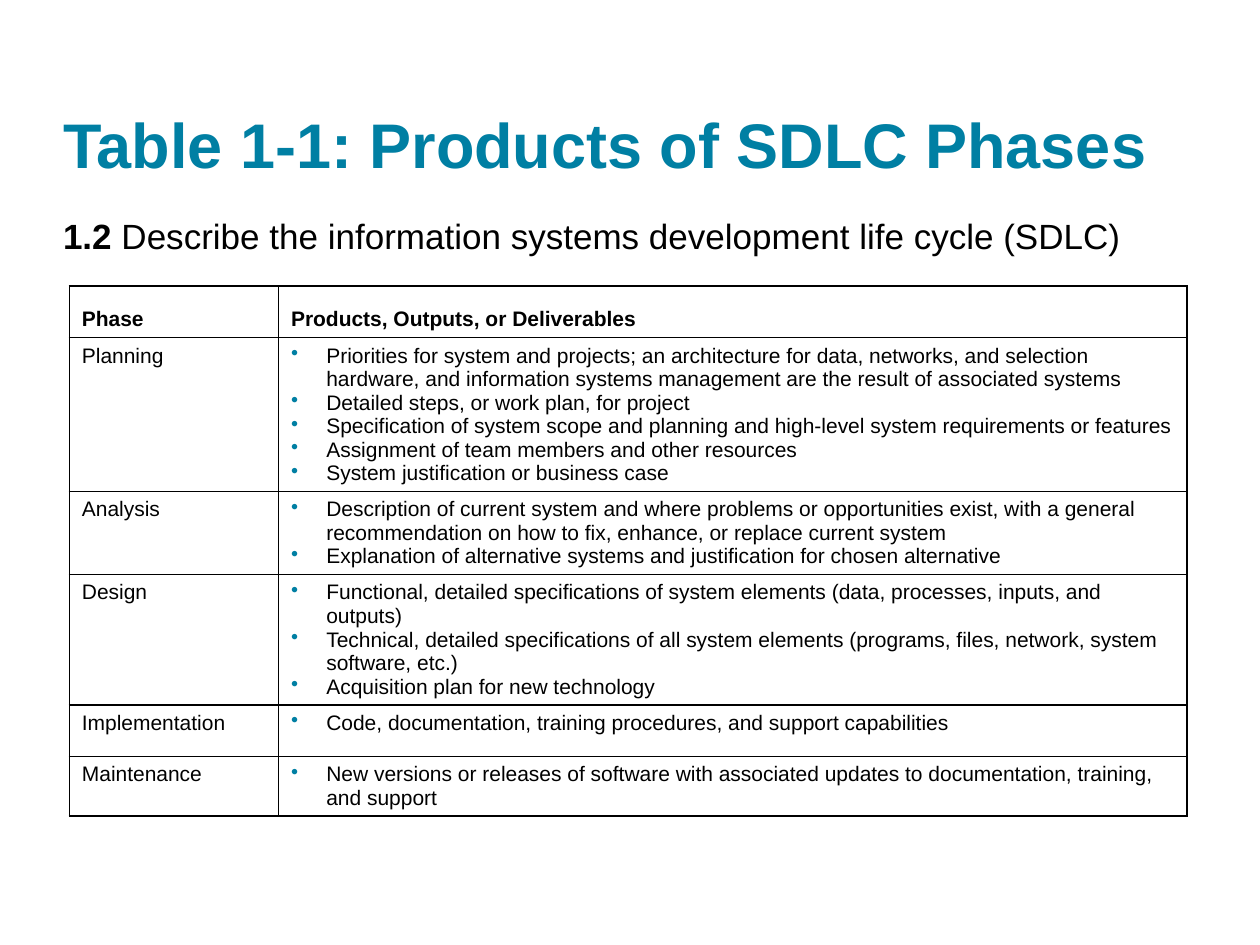
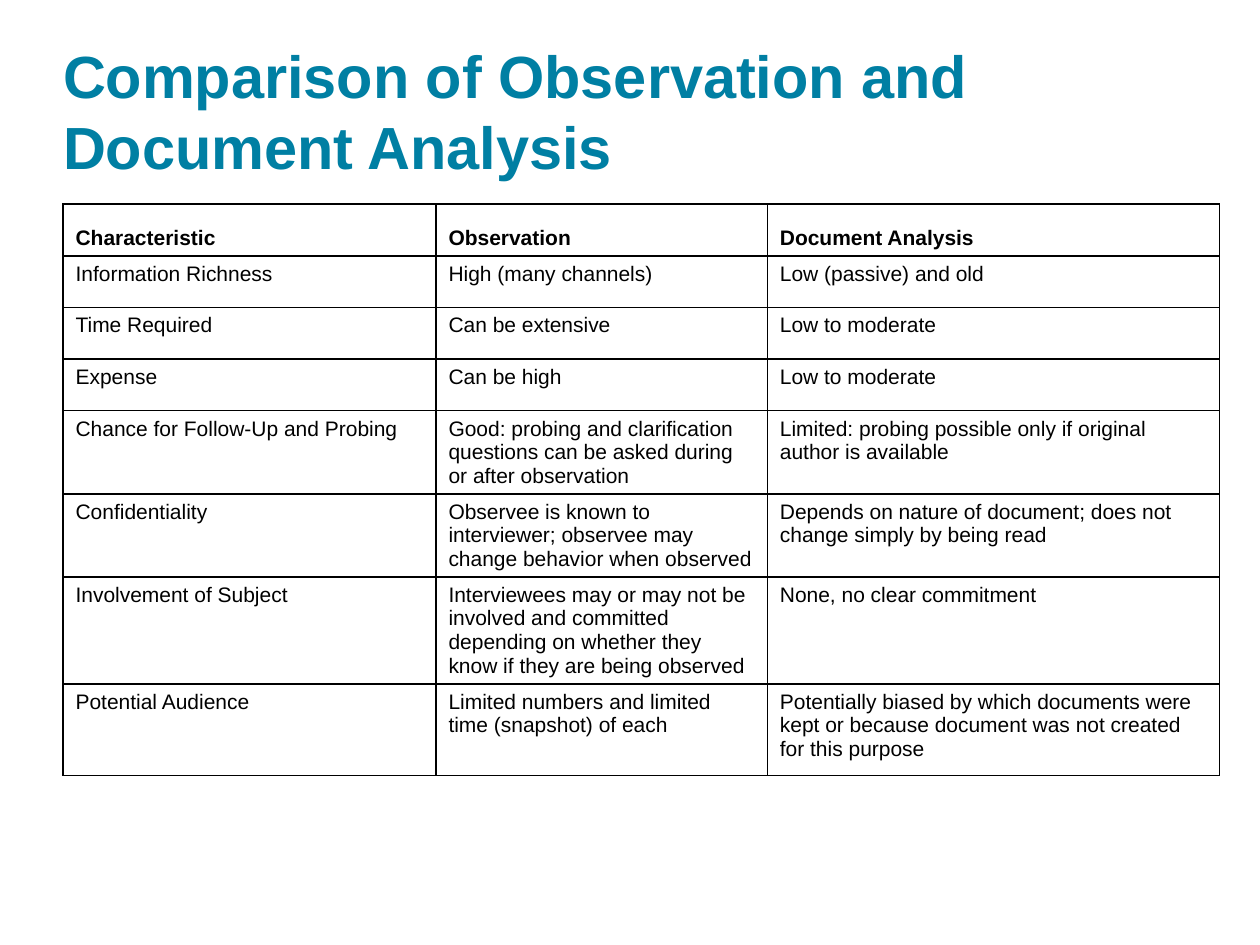
"""Build two slides that each show a ruled table under a teal title."""
from dataclasses import dataclass
from typing import Any, NamedTuple

from lxml import etree
from pptx import Presentation
from pptx import util as u
from pptx.dml.color import RGBColor
from pptx.enum import text
from pptx.oxml.ns import qn


@dataclass(frozen=True)
class Theme:
    """Colours, type sizes and measures used by every slide."""
    font: str = "Arial"
    accent: str = "007FA3"
    ink: str = "000000"
    objective_size: int = 20
    cell_size: int = 12
    rule_width: float = 1
    bullet_indent: float = 0.28


class Area(NamedTuple):
    """A region on the slide grid, in columns and rows."""
    left: float
    top: float
    width: float
    height: float


@dataclass(frozen=True)
class RuledTable:
    """A table's grid position, column widths, row heights and cell contents."""
    left: float
    top: float
    columns: tuple[float, ...]
    rows: tuple[float, ...]
    cells: list[tuple[str | list[str], ...]]


THEME = Theme()
SLIDE_WIDTH, SLIDE_HEIGHT = u.Inches(10), u.Inches(7.5)
GRID_COLUMNS, GRID_ROWS = 100, 75
TITLE_AREA = Area(5, 2.4, 90, 12)
OBJECTIVE_AREA = Area(5, 17, 90, 3.9)
ROW = 4.1

PHASE_PRODUCTS = RuledTable(5.5, 22.7, (16.6, 72.1), (ROW,) * 6, [
    ("Phase", "Products, Outputs, or Deliverables"),
    ("Planning", [
        "Priorities for system and projects; an architecture for data, networks, and selection "
        "hardware, and information systems management are the result of associated systems",
        "Detailed steps, or work plan, for project",
        "Specification of system scope and planning and high-level system requirements or features",
        "Assignment of team members and other resources",
        "System justification or business case"]),
    ("Analysis", [
        "Description of current system and where problems or opportunities exist, with a general "
        "recommendation on how to fix, enhance, or replace current system",
        "Explanation of alternative systems and justification for chosen alternative"]),
    ("Design", [
        "Functional, detailed specifications of system elements (data, processes, inputs, and outputs)",
        "Technical, detailed specifications of all system elements (programs, files, network, "
        "system software, etc.)",
        "Acquisition plan for new technology"]),
    ("Implementation", ["Code, documentation, training procedures, and support capabilities"]),
    ("Maintenance", [
        "New versions or releases of software with associated updates to documentation, "
        "training, and support"]),
])

METHOD_COMPARISON = RuledTable(5, 16.2, (29.6, 26.3, 35.9), (ROW,) * 7 + (7.3,), [
    ("Characteristic", "Observation", "Document Analysis"),
    ("Information Richness", "High (many channels)", "Low (passive) and old"),
    ("Time Required", "Can be extensive", "Low to moderate"),
    ("Expense", "Can be high", "Low to moderate"),
    ("Chance for Follow-Up and Probing",
     "Good: probing and clarification questions can be asked during or after observation",
     "Limited: probing possible only if original author is available"),
    ("Confidentiality",
     "Observee is known to interviewer; observee may change behavior when observed",
     "Depends on nature of document; does not change simply by being read"),
    ("Involvement of Subject",
     "Interviewees may or may not be involved and committed depending on whether they know "
     "if they are being observed",
     "None, no clear commitment"),
    ("Potential Audience",
     "Limited numbers and limited time (snapshot) of each",
     "Potentially biased by which documents were kept or because document was not created "
     "for this purpose"),
])


def across(columns: float) -> int:
    """Convert grid columns to a length."""
    return round(SLIDE_WIDTH * columns / GRID_COLUMNS)


def down(rows: float) -> int:
    """Convert grid rows to a length."""
    return round(SLIDE_HEIGHT * rows / GRID_ROWS)


def apply(target: Any, values: dict[str, Any]) -> None:
    """Set each named attribute on the target."""
    for name, value in values.items():
        setattr(target, name, value)


def add_run(paragraph: Any, words: str, size: float, colour: str, bold: bool = False) -> None:
    """Append formatted words to a paragraph."""
    run = paragraph.add_run()
    run.text = words
    apply(run.font, {"name": THEME.font, "size": u.Pt(size), "bold": bold})
    run.font.color.rgb = RGBColor.from_string(colour)


def place(placeholder: Any, area: Area, anchor: text.MSO_ANCHOR) -> Any:
    """Move a placeholder to a grid area and return its plain first paragraph."""
    apply(placeholder, {"left": across(area.left), "top": down(area.top),
                        "width": across(area.width), "height": down(area.height)})
    frame = placeholder.text_frame
    apply(frame, {"margin_left": 0, "margin_top": 0, "margin_right": 0, "margin_bottom": 0,
                  "word_wrap": True, "auto_size": text.MSO_AUTO_SIZE.NONE,
                  "vertical_anchor": anchor})
    paragraph = frame.paragraphs[0]
    apply(paragraph, {"alignment": text.PP_ALIGN.LEFT, "space_before": u.Pt(0)})
    return paragraph


def add_title(slide: Any, words: str, size: float) -> None:
    """Fill the title placeholder."""
    paragraph = place(slide.shapes.title, TITLE_AREA, text.MSO_ANCHOR.BOTTOM)
    add_run(paragraph, words, size, THEME.accent, bold=True)


def add_objective(slide: Any, number: str, words: str) -> None:
    """Fill the body placeholder with a numbered learning objective."""
    paragraph = place(slide.placeholders[1], OBJECTIVE_AREA, text.MSO_ANCHOR.TOP)
    properties = paragraph._p.get_or_add_pPr()
    apply_indent(properties, 0, 0)
    etree.SubElement(properties, qn("a:buNone"))
    add_run(paragraph, f"{number} ", THEME.objective_size, THEME.ink, bold=True)
    add_run(paragraph, words, THEME.objective_size, THEME.ink)


def apply_indent(properties: Any, margin: int, indent: int) -> None:
    """Set the left margin and first-line indent of a paragraph."""
    for name, value in {"marL": margin, "indent": indent}.items():
        properties.set(name, str(value))


def add_bullet(paragraph: Any) -> None:
    """Give a paragraph a hanging accent-coloured bullet."""
    properties = paragraph._p.get_or_add_pPr()
    hang = u.Inches(THEME.bullet_indent)
    apply_indent(properties, hang, -hang)
    colour = etree.SubElement(properties, qn("a:buClr"))
    etree.SubElement(colour, qn("a:srgbClr"), val=THEME.accent)
    etree.SubElement(properties, qn("a:buChar"), char="•")


def rule_cell(cell: Any) -> None:
    """Draw a rule on all four sides of a cell and clear its fill."""
    properties = cell._tc.get_or_add_tcPr()
    for side in ("lnL", "lnR", "lnT", "lnB"):
        line = etree.SubElement(properties, qn(f"a:{side}"), w=str(u.Pt(THEME.rule_width)))
        fill = etree.SubElement(line, qn("a:solidFill"))
        etree.SubElement(fill, qn("a:srgbClr"), val=THEME.ink)
    cell.fill.background()


def fill_cell(cell: Any, content: str | list[str], header: bool) -> None:
    """Write plain text, or a bulleted list, into a ruled cell."""
    rule_cell(cell)
    cell.vertical_anchor = text.MSO_ANCHOR.BOTTOM if header else text.MSO_ANCHOR.TOP
    bulleted = isinstance(content, list)
    frame = cell.text_frame
    for index, words in enumerate(content if bulleted else [content]):
        paragraph = frame.add_paragraph() if index else frame.paragraphs[0]
        if bulleted:
            add_bullet(paragraph)
        add_run(paragraph, words, THEME.cell_size, THEME.ink, bold=header)


def add_ruled_table(slide: Any, plan: RuledTable) -> None:
    """Draw a table from its plan."""
    table = slide.shapes.add_table(
        len(plan.rows), len(plan.columns), across(plan.left), down(plan.top),
        across(sum(plan.columns)), down(sum(plan.rows))).table
    apply(table, {"first_row": False, "horz_banding": False})
    for column, width in zip(table.columns, plan.columns):
        column.width = across(width)
    for index, (row, height, contents) in enumerate(zip(table.rows, plan.rows, plan.cells)):
        row.height = down(height)
        for cell, content in zip(row.cells, contents):
            fill_cell(cell, content, header=index == 0)


def main() -> None:
    """Build and save the presentation."""
    deck = Presentation()
    apply(deck, {"slide_width": SLIDE_WIDTH, "slide_height": SLIDE_HEIGHT})

    phases = deck.slides.add_slide(deck.slide_layouts.get_by_name("Title and Content"))
    add_title(phases, "Table 1-1: Products of SDLC Phases", 36)
    add_objective(phases, "1.2", "Describe the information systems development life cycle (SDLC)")
    add_ruled_table(phases, PHASE_PRODUCTS)

    comparison = deck.slides.add_slide(deck.slide_layouts.get_by_name("Title Only"))
    add_title(comparison, "Comparison of Observation and Document Analysis", 34)
    add_ruled_table(comparison, METHOD_COMPARISON)

    deck.save("out.pptx")


if __name__ == "__main__":
    main()
